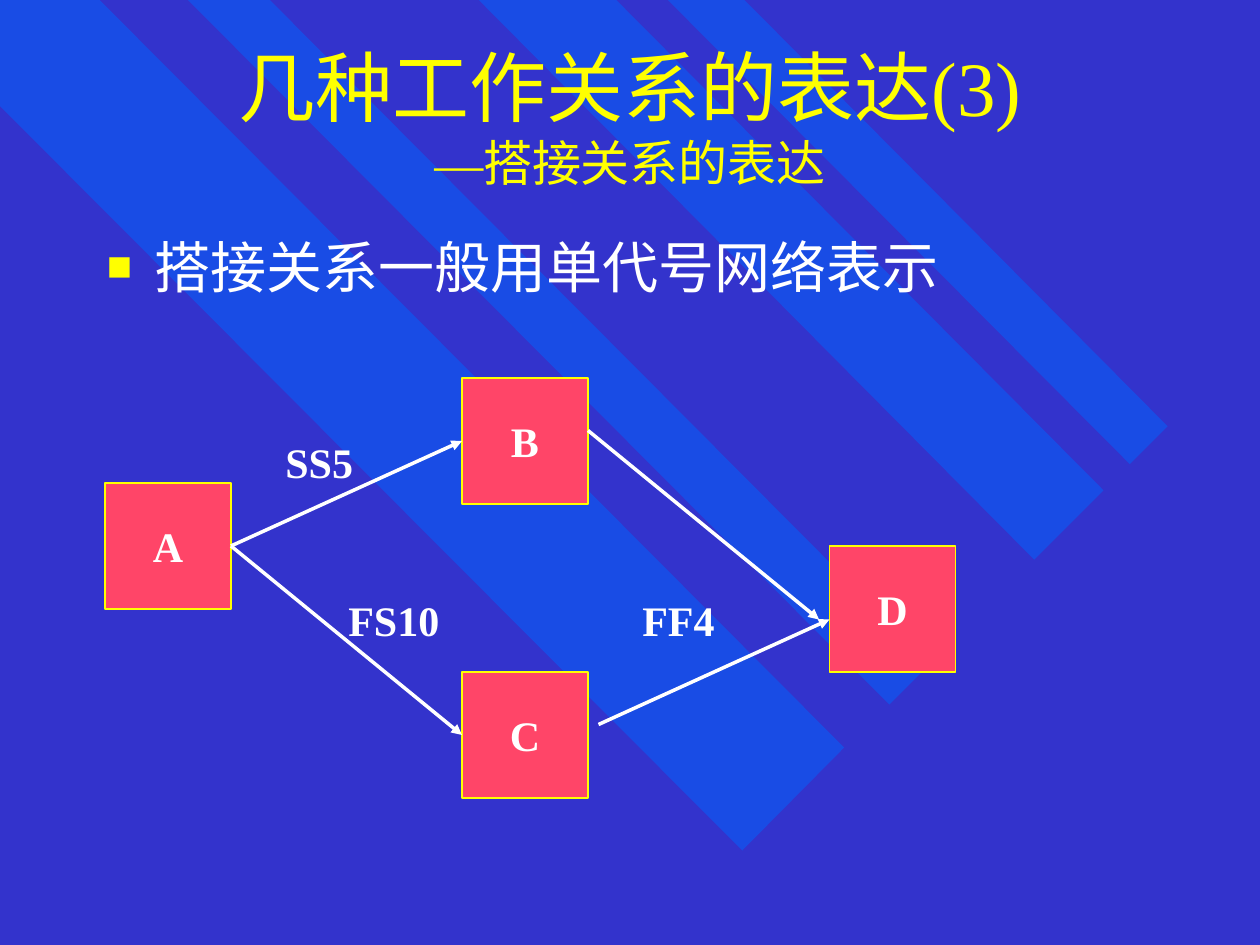
import pptx
import pptx.dml.color
import pptx.enum.shapes
import pptx.enum.text
import pptx.oxml.ns
import pptx.util
from lxml import etree

PX = 7620  # 120 px to the inch
FONT = "Times New Roman"
COLORS = {
    "background": "3333CC",
    "stripe": "0066FF",
    "accent": "FFFF00",
    "text": "FFFFFF",
    "node": "FF4568",
}
ALIGN = pptx.enum.text.PP_ALIGN
ANCHOR = pptx.enum.text.MSO_ANCHOR


def rgb(name):
    return pptx.dml.color.RGBColor.from_string(COLORS[name])


def add_run(paragraph, text, size, color="text", bold=False):
    run = paragraph.add_run()
    run.text = text
    run.font.name = FONT
    run.font.size = pptx.util.Pt(size)
    run.font.bold = bold
    run.font.color.rgb = rgb(color)


presentation = pptx.Presentation()
presentation.slide_width = 1200 * PX
presentation.slide_height = 900 * PX
slide = presentation.slides.add_slide(presentation.slide_layouts[5])
shapes = slide.shapes
qn = pptx.oxml.ns.qn

# Background with half-transparent diagonal stripes
slide.background.fill.solid()
slide.background.fill.fore_color.rgb = rgb("background")
stripes = [
    [(804, 712), (95, 0), (0, 0), (0, 101), (707, 810)],
    [(257, 0), (886, 632), (847, 671), (179, 0)],
    [(587, 0), (1051, 467), (985, 533), (456, 0)],
    [(636, 0), (1076, 442), (1112, 406), (709, 0)],
]
for points in stripes:
    builder = shapes.build_freeform(*points[0], scale=PX)
    builder.add_line_segments(points[1:], close=True)
    stripe = builder.convert_to_shape()
    stripe.shadow.inherit = False
    stripe.line.fill.background()
    stripe.fill.solid()
    stripe.fill.fore_color.rgb = rgb("stripe")
    color = stripe._element.spPr.find(".//" + qn("a:srgbClr"))
    etree.SubElement(color, qn("a:alpha"), val="50000")

# Title, brought in front of the stripes
title = shapes.title
shapes._spTree.append(title._element)
title.left, title.top, title.width, title.height = 90 * PX, 30 * PX, 1020 * PX, 160 * PX
title.text_frame.vertical_anchor = ANCHOR.MIDDLE
paragraph = title.text_frame.paragraphs[0]
paragraph.alignment = ALIGN.CENTER
add_run(paragraph, "几种工作关系的表达(3)", 44, "accent")
paragraph.add_line_break()
add_run(paragraph, "—搭接关系的表达", 28, "accent")

# Bulleted statement
body = shapes.add_textbox(90 * PX, 216 * PX, 1020 * PX, 84 * PX)
body.text_frame.word_wrap = True
paragraph = body.text_frame.paragraphs[0]
properties = paragraph._p.get_or_add_pPr()
properties.set("marL", str(45 * PX))
properties.set("indent", str(-45 * PX))
bullet_color = etree.SubElement(properties, qn("a:buClr"))
etree.SubElement(bullet_color, qn("a:srgbClr"), val=COLORS["accent"])
etree.SubElement(properties, qn("a:buSzPct"), val="75000")
etree.SubElement(properties, qn("a:buFont"), typeface=FONT)
etree.SubElement(properties, qn("a:buChar"), char="■")
add_run(paragraph, "搭接关系一般用单代号网络表示", 32)

# Activity nodes
nodes = {"A": (100, 460), "B": (440, 360), "C": (440, 640), "D": (790, 520)}
for name, (left, top) in nodes.items():
    node = shapes.add_shape(
        pptx.enum.shapes.MSO_SHAPE.RECTANGLE, left * PX, top * PX, 120 * PX, 120 * PX
    )
    node.shadow.inherit = False
    node.fill.solid()
    node.fill.fore_color.rgb = rgb("node")
    node.line.color.rgb = rgb("accent")
    node.line.width = pptx.util.Pt(1)
    node.text_frame.word_wrap = False
    node.text_frame.vertical_anchor = ANCHOR.MIDDLE
    paragraph = node.text_frame.paragraphs[0]
    paragraph.alignment = ALIGN.CENTER
    add_run(paragraph, name, 24, bold=True)

# Arrows: A to B, A to C, B to D, C to D
arrows = [
    (220, 520, 440, 420),
    (220, 520, 440, 700),
    (560, 410, 780, 590),
    (570, 690, 790, 590),
]
for ends in arrows:
    arrow = shapes.add_connector(
        pptx.enum.shapes.MSO_CONNECTOR.STRAIGHT, *(value * PX for value in ends)
    )
    arrow.line.color.rgb = rgb("text")
    arrow.line.width = pptx.util.Pt(2)
    etree.SubElement(arrow.line._get_or_add_ln(), qn("a:tailEnd"), type="triangle")
    etree.SubElement(arrow._element.spPr, qn("a:effectLst"))

# Relation labels
labels = {"SS5": (260, 410), "FS10": (320, 560), "FF4": (600, 560)}
for text, (left, top) in labels.items():
    label = shapes.add_textbox(left * PX, top * PX, 120 * PX, 60 * PX)
    label.text_frame.word_wrap = True
    add_run(label.text_frame.paragraphs[0], text, 24, bold=True)

presentation.save("out.pptx")
